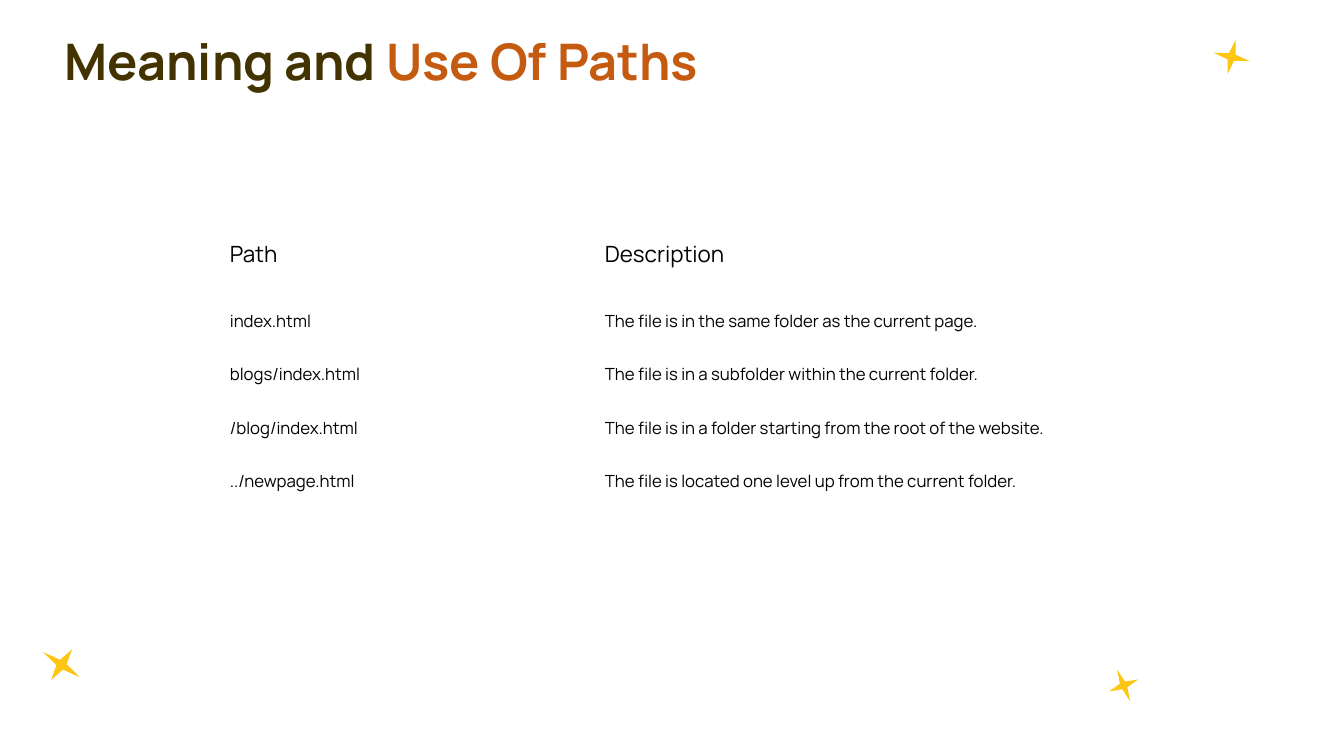
from pptx import Presentation
from pptx.dml.color import RGBColor
from pptx.enum.shapes import MSO_SHAPE
from pptx.enum.text import MSO_ANCHOR, MSO_AUTO_SIZE, PP_ALIGN
from pptx.util import Inches, Pt

FONT = "Manrope"
BROWN = RGBColor(0x42, 0x33, 0x00)
ORANGE = RGBColor(0xC5, 0x5A, 0x11)
YELLOW = RGBColor(0xFC, 0xC6, 0x13)
BLACK = RGBColor(0x00, 0x00, 0x00)


def style_run(run, size, color, bold):
    run.font.name = FONT
    run.font.size = Pt(size)
    run.font.color.rgb = color
    run.font.bold = bold


prs = Presentation()
prs.slide_width = Inches(13.33)
prs.slide_height = Inches(7.5)
slide = prs.slides.add_slide(prs.slide_layouts[5])

# Title in two colours
title = slide.shapes.title
title.left, title.top = Inches(0.54), Inches(0)
title.width, title.height = Inches(10), Inches(0.95)
title.text_frame.auto_size = MSO_AUTO_SIZE.NONE
title.text_frame.vertical_anchor = MSO_ANCHOR.BOTTOM
heading = title.text_frame.paragraphs[0]
heading.alignment = PP_ALIGN.LEFT
heading.line_spacing = Pt(50.2)
for words, color in (("Meaning and ", BROWN), ("Use Of Paths", ORANGE)):
    run = heading.add_run()
    run.text = words
    style_run(run, 36, color, True)

# Stars: left, top, width, height, rotation
STARS = [
    (0.39, 6.41, 0.44, 0.37, 34.3),
    (12.03, 0.39, 0.37, 0.35, 13.1),
    (10.99, 6.63, 0.31, 0.34, 337.7),
]
for *box, rotation in STARS:
    star = slide.shapes.add_shape(MSO_SHAPE.STAR_4_POINT, *map(Inches, box))
    star.rotation = rotation
    star.shadow.inherit = False
    star.fill.solid()
    star.fill.fore_color.rgb = YELLOW
    star.line.fill.background()

# Table of paths
PATHS = [
    ("Path", "Description"),
    ("index.html", "The file is in the same folder as the current page."),
    ("blogs/index.html", "The file is in a subfolder within the current folder."),
    ("/blog/index.html", "The file is in a folder starting from the root of the website."),
    ("../newpage.html", "The file is located one level up from the current folder."),
]
paths = slide.shapes.add_table(
    len(PATHS), 2, Inches(2.18), Inches(2.32), Inches(8.89), Inches(2.82)
).table
paths.horz_banding = False
for column, width in zip(paths.columns, (3.72, 5.17)):
    column.width = Inches(width)
for i, entry in enumerate(PATHS):
    is_header = i == 0
    paths.rows[i].height = Inches(0.7 if is_header else 0.53)
    for cell, words in zip(paths.rows[i].cells, entry):
        cell.fill.background()
        cell.text_frame.text = words
        style_run(cell.text_frame.paragraphs[0].runs[0], 16 if is_header else 12, BLACK, False)

prs.save("out.pptx")
